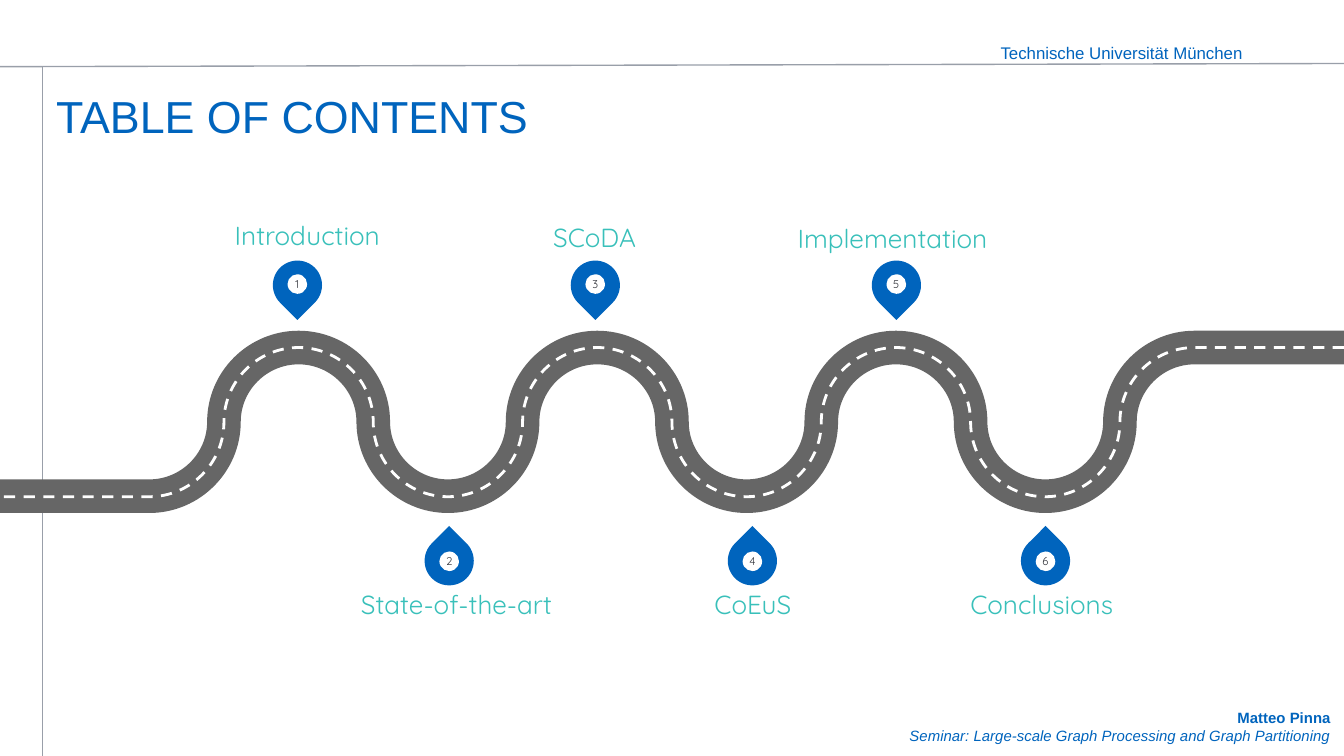
from lxml.etree import Element, SubElement
from pptx import Presentation
from pptx.dml.color import RGBColor
from pptx.enum.dml import MSO_LINE
from pptx.enum.shapes import MSO_CONNECTOR, MSO_SHAPE
from pptx.enum.text import MSO_ANCHOR, PP_ALIGN
from pptx.oxml.ns import qn
from pptx.util import Cm, Pt

COLORS = {
    "blue": "0064BD",
    "teal": "39C0BA",
    "ink": "2E3037",
    "road": "666666",
    "rule": "999FA9",
    "white": "FFFFFF",
}
WIDTH, HEIGHT = 25.4, 14.29
STEP = WIDTH / 9
ROAD_TOP = 6.57
ARC = 0.55
PIN, DOT = 0.93, 0.37
LABEL_W, LABEL_H = 6.02, 0.51

STOPS = [
    ("Introduction", 5.62, 5.81, 4.23),
    ("State-of-the-art", 8.49, 8.63, 11.21),
    ("SCoDA", 11.25, 11.24, 4.26),
    ("CoEuS", 14.22, 14.23, 11.21),
    ("Implementation", 16.94, 16.87, 4.28),
    ("Conclusions", 19.76, 19.69, 11.21),
]


def rgb(name):
    return RGBColor.from_string(COLORS[name])


def write(p, text, size, color="blue", font="Arial", bold=False, italic=False,
          align=PP_ALIGN.LEFT):
    p.alignment = align
    r = p.add_run()
    r.text = text
    r.font.name = font
    r.font.size = Pt(size)
    r.font.bold = bold
    r.font.italic = italic
    r.font.color.rgb = rgb(color)


def set_frame(tf, anchor, inset_x, inset_y):
    tf.word_wrap = True
    tf.vertical_anchor = anchor
    tf.margin_left = tf.margin_right = Cm(inset_x)
    tf.margin_top = tf.margin_bottom = Cm(inset_y)


def road_points(depth):
    heights = [0, depth / 2, depth, depth / 2]
    bends = [((16 - i) * STEP / 2, ROAD_TOP + heights[i % 4])
             for i in range(15)]
    return [(WIDTH, ROAD_TOP), *bends, (0, ROAD_TOP + depth)]


def round_bends(sp):
    segments = list(sp._element.find(".//" + qn("a:path")))
    ends = [(int(seg[0].get("x")), int(seg[0].get("y"))) for seg in segments]
    for i in range(2, len(segments) - 1):
        (x0, y0), (x1, y1) = ends[i - 1], ends[i]
        dx, dy = (x1 - x0) * ARC, (y1 - y0) * ARC
        if i % 2:
            controls = [(x0, y0 + dy), (x1 - dx, y1)]
        else:
            controls = [(x0 + dx, y0), (x1, y1 - dy)]
        curve = Element(qn("a:cubicBezTo"))
        for x, y in controls + [(x1, y1)]:
            SubElement(curve, qn("a:pt"), x=str(round(x)), y=str(round(y)))
        segments[i].getparent().replace(segments[i], curve)


class Deck:
    def __init__(self):
        self.prs = Presentation()
        self.prs.slide_width = Cm(WIDTH)
        self.prs.slide_height = Cm(HEIGHT)
        self.s = self.prs.slides.add_slide(self.prs.slide_layouts[6])

    def text(self, x, y, w, h, lines, anchor=MSO_ANCHOR.TOP, inset_x=0.25,
             inset_y=0.13):
        tf = self.s.shapes.add_textbox(Cm(x), Cm(y), Cm(w), Cm(h)).text_frame
        set_frame(tf, anchor, inset_x, inset_y)
        for i, (text, style) in enumerate(lines):
            p = tf.add_paragraph() if i else tf.paragraphs[0]
            write(p, text, **style)

    def rule(self, x1, y1, x2, y2):
        sp = self.s.shapes.add_connector(
            MSO_CONNECTOR.STRAIGHT, Cm(x1), Cm(y1), Cm(x2), Cm(y2))
        sp.line.color.rgb = rgb("rule")
        sp.line.width = Pt(0.75)
        SubElement(sp._element.spPr, qn("a:effectLst"))

    def road(self, depth, color, width, dash=None):
        start, *rest = [(Cm(x), Cm(y)) for x, y in road_points(depth)]
        builder = self.s.shapes.build_freeform(*start)
        builder.add_line_segments(rest, close=False)
        sp = builder.convert_to_shape()
        round_bends(sp)
        sp.shadow.inherit = False
        sp.fill.background()
        sp.line.color.rgb = rgb(color)
        sp.line.width = Pt(width)
        if dash:
            sp.line.dash_style = dash

    def disc(self, shapes, preset, x, y, size, color):
        sp = shapes.add_shape(preset, Cm(x - size / 2), Cm(y - size / 2),
                              Cm(size), Cm(size))
        sp.shadow.inherit = False
        sp.fill.solid()
        sp.fill.fore_color.rgb = rgb(color)
        sp.line.fill.background()
        return sp

    def pin(self, number, x, y, dot_y, rotation):
        shapes = self.s.shapes.add_group_shape().shapes
        drop = self.disc(shapes, MSO_SHAPE.TEAR, x, y, PIN, "blue")
        drop.rotation = rotation
        dot = self.disc(shapes, MSO_SHAPE.OVAL, x, dot_y, DOT, "white")
        tf = dot.text_frame
        set_frame(tf, MSO_ANCHOR.MIDDLE, 0, 0)
        write(tf.paragraphs[0], str(number), 6, "ink", "Quicksand",
              align=PP_ALIGN.CENTER)

    def label(self, text, x, y):
        style = dict(size=14, color="teal", font="Quicksand",
                     align=PP_ALIGN.CENTER)
        self.text(x - LABEL_W / 2, y, LABEL_W, LABEL_H, [(text, style)],
                  MSO_ANCHOR.BOTTOM, 0, 0)


def main():
    deck = Deck()
    deck.text(14.07, 13.26, 11.33, 0.94, [
        ("Matteo Pinna", dict(size=8, bold=True, align=PP_ALIGN.RIGHT)),
        ("Seminar: Large-scale Graph Processing and Graph Partitioning",
         dict(size=8, italic=True, align=PP_ALIGN.RIGHT)),
    ])
    deck.text(18.66, 0.67, 5.11, 0.64,
              [("Technische Universität München", dict(size=9))])
    deck.rule(WIDTH, 1.2, 0, 1.26)
    deck.rule(0.8, 1.26, 0.8, HEIGHT)
    deck.road(2.81, "road", 18)
    deck.road(2.82, "white", 1.5, MSO_LINE.DASH)
    deck.text(0.81, 1.45, 18.8, 1.47, [("TABLE OF CONTENTS", dict(size=24))],
              MSO_ANCHOR.MIDDLE, inset_y=0.25)
    for number, (name, pin_x, label_x, label_y) in enumerate(STOPS, 1):
        if number % 2:
            deck.pin(number, pin_x, 5.39, 5.37, 135)
        else:
            deck.pin(number, pin_x, 10.6, 10.61, 315)
        deck.label(name, label_x, label_y)
    deck.prs.save("out.pptx")


if __name__ == "__main__":
    main()
